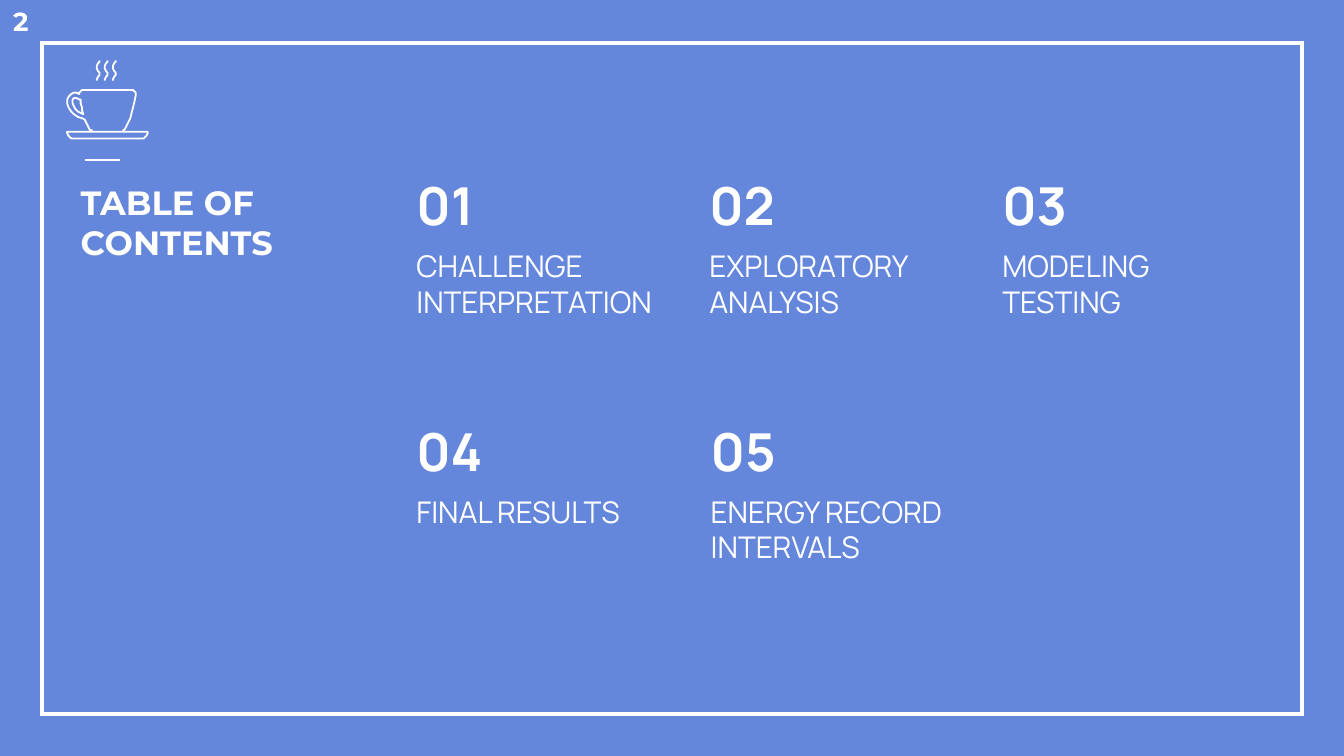
from lxml import etree
from pptx import Presentation
from pptx.dml.color import RGBColor
from pptx.enum.shapes import MSO_CONNECTOR, MSO_SHAPE
from pptx.enum.text import MSO_ANCHOR, MSO_AUTO_SIZE, PP_ALIGN
from pptx.oxml.ns import qn
from pptx.util import Inches, Pt

RECT, STRAIGHT = MSO_SHAPE.RECTANGLE, MSO_CONNECTOR.STRAIGHT
TOP, BOTTOM, LEFT = MSO_ANCHOR.TOP, MSO_ANCHOR.BOTTOM, PP_ALIGN.LEFT
NO_FIT = MSO_AUTO_SIZE.NONE
COLORS = {"background": "6486DB", "white": "FFFFFF"}
WHITE = RGBColor.from_string(COLORS["white"])


def setup_frame(sp, anchor=TOP):
    tf = sp.text_frame
    tf.word_wrap = True
    tf.auto_size = NO_FIT
    tf.vertical_anchor = anchor
    tf.margin_left = tf.margin_right = Inches(0.1)
    tf.margin_top = tf.margin_bottom = Inches(0.1)
    return tf


def add_text(p, text, font, size, bold):
    p.alignment = LEFT
    r = p.add_run()
    r.text = text
    r.font.name = font
    r.font.size = Pt(size)
    r.font.bold = bold
    r.font.color.rgb = WHITE


# Widescreen 16:9 slide
prs = Presentation()
prs.slide_width = Inches(10)
prs.slide_height = Inches(10 * 9 / 16)
s = prs.slides.add_slide(prs.slide_layouts[5])
s.background.fill.solid()
s.background.fill.fore_color.rgb = RGBColor.from_string(COLORS["background"])

# Frame with square corners
frame = s.shapes.add_shape(RECT, Inches(0.31), Inches(0.32), Inches(9.38), Inches(4.99))
frame.shadow.inherit = False
frame.fill.background()
frame.line.color.rgb = WHITE
frame.line.width = Pt(2.25)
etree.SubElement(frame.line._get_or_add_ln(), qn("a:miter"), lim="800000")

# Short rule above the title
rule = s.shapes.add_connector(STRAIGHT, Inches(0.63), Inches(1.19), Inches(0.89), Inches(1.19))
rule.line.color.rgb = WHITE
rule.line.width = Pt(0.75)
etree.SubElement(rule._element.spPr, qn("a:effectLst"))

# Page number
number = s.shapes.add_textbox(Inches(0), Inches(-0.02), Inches(0.6), Inches(0.39))
add_text(setup_frame(number, BOTTOM).paragraphs[0], "2", "Montserrat", 14, True)

# Title
title = s.shapes.title
title.left, title.top = Inches(0.5), Inches(1.25)
title.width, title.height = Inches(2.36), Inches(0.89)
add_text(setup_frame(title).paragraphs[0], "TABLE OF CONTENTS", "Montserrat", 18, True)

# Contents: left, top, width, heading
sections = [
    (3, 1.19, 2.18, "CHALLENGE INTERPRETATION"),
    (5.18, 1.19, 2.07, "EXPLORATORY ANALYSIS"),
    (7.36, 1.19, 2.07, "MODELING TESTING"),
    (3, 3.02, 2.07, "FINAL RESULTS"),
    (5.19, 3.02, 2.07, "ENERGY RECORD INTERVALS"),
]
for i, (left, top, width, heading) in enumerate(sections, 1):
    sp = s.shapes.add_textbox(Inches(left), Inches(top), Inches(width), Inches(1.88))
    tf = setup_frame(sp)
    add_text(tf.paragraphs[0], f"{i:02d}", "Manrope", 28, True)
    p = tf.add_paragraph()
    p.space_before = Pt(6)
    add_text(p, heading, "Manrope", 16, False)

# Coffee cup outlines, in hundredths of an inch
cup = [(91, 97), (92, 97), (93, 96), (95, 92), (97, 88), (98, 84), (99, 80),
       (100, 76), (101, 71), (101, 69), (100, 68), (99, 67), (61, 67), (60, 68),
       (59, 69), (59, 70), (57, 69), (55, 69), (53, 70), (51, 72), (50, 74),
       (50, 77), (51, 80), (53, 83), (55, 85), (58, 87), (61, 88), (63, 89),
       (64, 91), (66, 95), (67, 97), (69, 97)]
handle = [(54, 76), (54, 74), (55, 73), (57, 73), (59, 74), (60, 74), (60, 77),
          (61, 80), (61, 82), (62, 85), (60, 84), (58, 83), (56, 81), (55, 79),
          (54, 77), (54, 76)]
saucer = [(106, 103), (54, 103), (53, 103), (52, 102), (51, 101), (50, 99),
          (50, 98), (110, 98), (110, 99), (109, 101), (108, 102), (107, 103),
          (106, 103)]
steam = [(2, 45), (2, 46), (1, 47), (0, 49), (0, 51), (1, 53), (2, 54),
         (2, 56), (1, 57), (0, 59), (0, 60)]
wisps = [[(x + dx, y) for x, y in steam] for dx in (72, 78, 84)]

icon = s.shapes.add_group_shape()
for points in [cup, handle, saucer] + wisps:
    outline = icon.shapes.build_freeform(*points[0], scale=Inches(0.01))
    outline.add_line_segments(points[1:], close=points is saucer)
    sp = outline.convert_to_shape()
    sp.shadow.inherit = False
    sp.fill.background()
    sp.line.color.rgb = WHITE
    sp.line.width = Pt(0.96)

prs.save("out.pptx")
